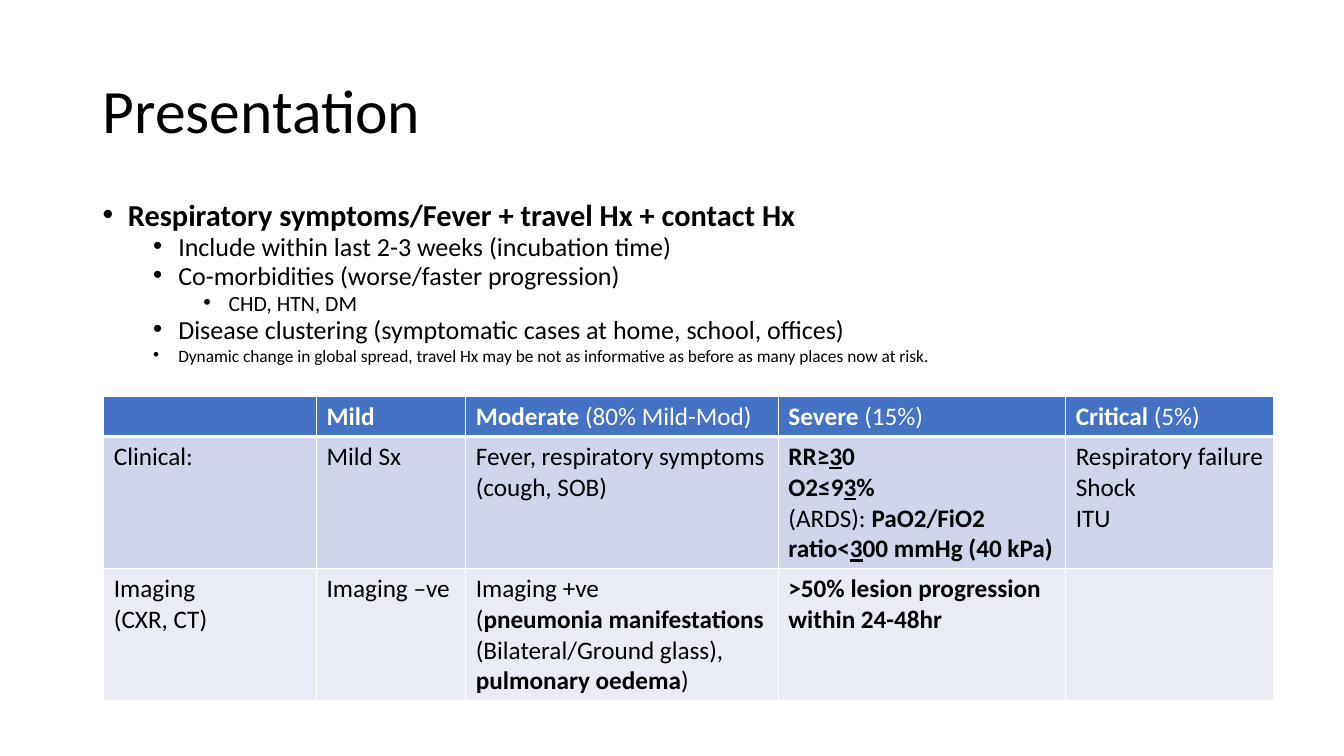
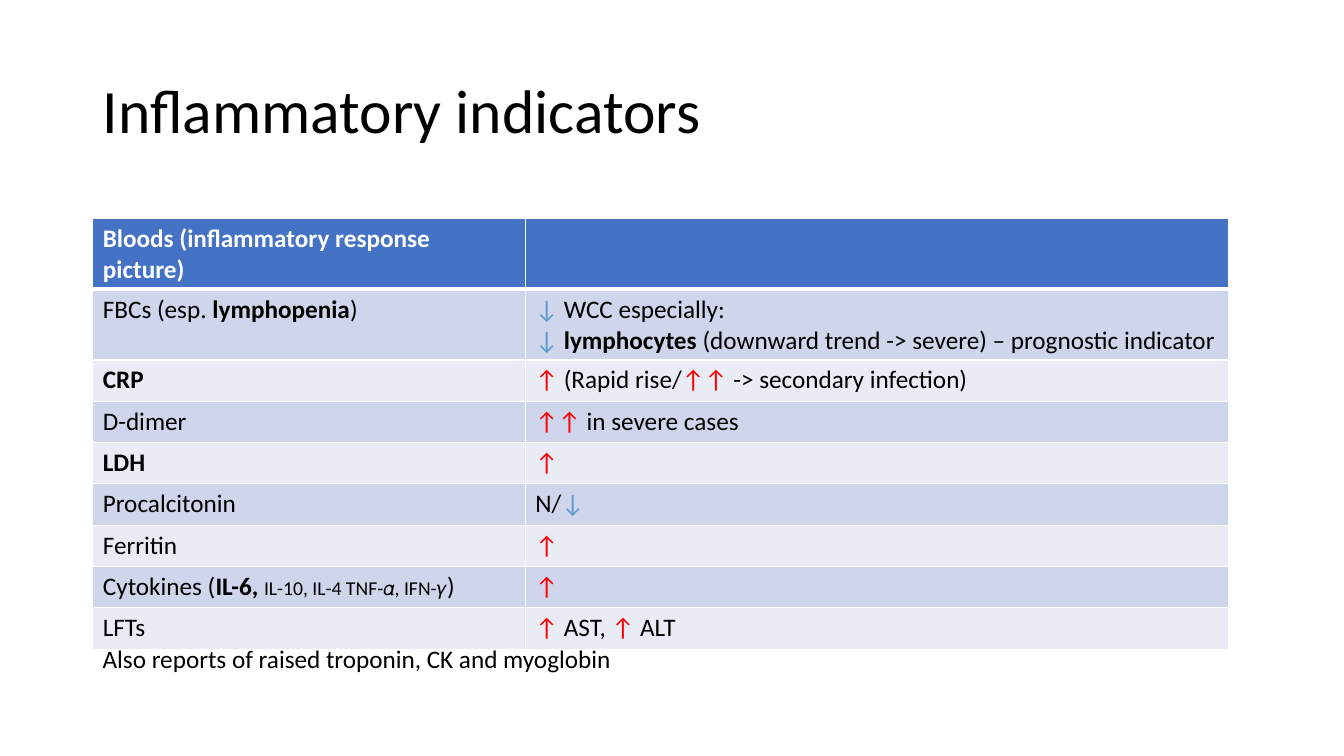
import dataclasses

import pptx
import pptx.dml.color
import pptx.enum.text
import pptx.oxml
import pptx.oxml.ns
import pptx.util

PX = 9144  # one px is 1/100 inch


@dataclasses.dataclass(frozen=True)
class Theme:
    font: str = "Calibri"
    text: str = "000000"
    white: str = "FFFFFF"
    header: str = "4472C4"
    bands: tuple = ("CFD5EA", "E9EBF5")
    rise: str = "FF0000"
    fall: str = "5B9BD5"
    title_size: float = 44
    text_size: float = 18
    small_size: float = 14
    lead_size: float = 21.7
    point_size: float = 18.6
    detail_size: float = 15.5
    note_size: float = 12.4
    thin_line: int = 1
    thick_line: int = 3


THEME = Theme()
TITLE_BOX = (92, 40, 1150, 145)

# Named run formats, laid over the format of the surrounding text
FORMATS = {
    "bold": {"bold": True},
    "regular": {"bold": False},
    "underlined": {"bold": True, "underline": True},
    "rise": {"color": THEME.rise},
    "fall": {"color": THEME.fall},
    "small": {"size": THEME.small_size},
}


def px(value):
    return pptx.util.Emu(value * PX)


def add_runs(paragraph, runs, **base):
    """Write runs; each is a plain string or a (text, format name) pair."""
    for item in runs:
        text, name = (item, None) if isinstance(item, str) else item
        values = {"name": THEME.font, "size": THEME.text_size,
                  "color": THEME.text, **base, **FORMATS.get(name, {})}
        run = paragraph.add_run()
        run.text = text
        run.font.color.rgb = pptx.dml.color.RGBColor.from_string(values.pop("color"))
        values["size"] = pptx.util.Pt(values["size"])
        for attribute, value in values.items():
            setattr(run.font, attribute, value)


def paragraphs_for(frame, count):
    return [frame.paragraphs[0]] + [frame.add_paragraph() for _ in range(count - 1)]


def add_text_frame(slide, box, **settings):
    frame = slide.shapes.add_textbox(*map(px, box)).text_frame
    for attribute, value in {"word_wrap": True, **settings}.items():
        setattr(frame, attribute, value)
    return frame


def add_title(slide, text):
    frame = add_text_frame(slide, TITLE_BOX,
                           vertical_anchor=pptx.enum.text.MSO_ANCHOR.MIDDLE)
    paragraph = frame.paragraphs[0]
    paragraph.line_spacing = 0.9
    add_runs(paragraph, [text], size=THEME.title_size)


def add_bullets(slide, box, points):
    """Place an outline of (level, size, bold, text) points."""
    frame = add_text_frame(slide, box)
    for index, (level, size, bold, text) in enumerate(points):
        paragraph = paragraphs_for(frame, 1)[0] if index == 0 else frame.add_paragraph()
        properties = paragraph._p.get_or_add_pPr()
        properties.set("marL", str(px(25 + 50 * level)))
        properties.set("indent", str(px(-25)))
        for tag, attribute, value in (("buFont", "typeface", "Arial"),
                                      ("buChar", "char", "•")):
            pptx.oxml.ns.qn("a:" + tag)
            properties.append(pptx.oxml.parse_xml(
                f'<a:{tag} {pptx.oxml.ns.nsdecls("a")} {attribute}="{value}"/>'))
        paragraph.level = level
        paragraph.line_spacing = 0.7
        if index:
            paragraph.space_before = pptx.util.Pt(5)
        add_runs(paragraph, [text], size=size, bold=bold)


def style_cell(cell, row):
    """Draw white borders, heavier under the header, then the band fill."""
    widths = {"L": THEME.thin_line, "R": THEME.thin_line,
              "T": THEME.thick_line if row == 1 else THEME.thin_line,
              "B": THEME.thick_line if row == 0 else THEME.thin_line}
    properties = cell._tc.get_or_add_tcPr()
    for side, width in widths.items():
        properties.append(pptx.oxml.parse_xml(
            f'<a:ln{side} {pptx.oxml.ns.nsdecls("a")} w="{pptx.util.Pt(width)}">'
            f'<a:solidFill><a:srgbClr val="{THEME.white}"/></a:solidFill></a:ln{side}>'))
    color = THEME.bands[(row - 1) % 2] if row else THEME.header
    cell.fill.solid()
    cell.fill.fore_color.rgb = pptx.dml.color.RGBColor.from_string(color)


def add_banded_table(slide, left, top, widths, heights, rows):
    """Place rows of cells; a cell is a list of paragraphs made of runs."""
    table = slide.shapes.add_table(len(heights), len(widths), px(left), px(top),
                                   px(sum(widths)), px(sum(heights))).table
    for column, width in zip(table.columns, widths):
        column.width = px(width)
    for row_index, (row, height, contents) in enumerate(zip(table.rows, heights, rows)):
        row.height = px(height)
        base = {"bold": False} if row_index else {"bold": True, "color": THEME.white}
        for cell, lines in zip(row.cells, contents):
            style_cell(cell, row_index)
            if lines:
                for paragraph, runs in zip(paragraphs_for(cell.text_frame, len(lines)), lines):
                    add_runs(paragraph, runs, **base)


def build_presentation_slide(slide):
    add_title(slide, "Presentation")
    add_bullets(slide, (92, 200, 1150, 175), [
        (0, THEME.lead_size, True, "Respiratory symptoms/Fever + travel Hx + contact Hx"),
        (1, THEME.point_size, False, "Include within last 2-3 weeks (incubation time)"),
        (1, THEME.point_size, False, "Co-morbidities (worse/faster progression)"),
        (2, THEME.detail_size, False, "CHD, HTN, DM"),
        (1, THEME.point_size, False,
         "Disease clustering (symptomatic cases at home, school, offices)"),
        (1, THEME.note_size, False,
         "Dynamic change in global spread, travel Hx may be not as informative "
         "as before as many places now at risk."),
    ])
    # Severity table
    add_banded_table(slide, 103, 393, [211, 148, 310, 285, 206], [40, 131, 131], [
        [[], [["Mild"]],
         [["Moderate ", ("(80% Mild-Mod)", "regular")]],
         [["Severe ", ("(15%)", "regular")]],
         [["Critical ", ("(5%)", "regular")]]],
        [[["Clinical:"]], [["Mild Sx"]],
         [["Fever, respiratory symptoms (cough, SOB)"]],
         [[("RR≥", "bold"), ("3", "underlined"), ("0", "bold")],
          [("O2≤9", "bold"), ("3", "underlined"), ("%", "bold")],
          ["(ARDS): ", ("PaO2/FiO2 ratio<", "bold"), ("3", "underlined"),
           ("00 mmHg (40 kPa)", "bold")]],
         [["Respiratory failure"], ["Shock"], ["ITU"]]],
        [[["Imaging"], ["(CXR, CT)"]], [["Imaging –ve"]],
         [["Imaging +ve"],
          ["(", ("pneumonia manifestations ", "bold"), "(Bilateral/Ground glass), ",
           ("pulmonary oedema", "bold"), ")"]],
         [[(">50% lesion progression within 24-48hr", "bold")]], []],
    ])


def build_indicators_slide(slide):
    add_title(slide, "Inflammatory indicators")
    # Blood results table
    add_banded_table(slide, 92, 217, [429, 698], [70] * 2 + [41] * 7, [
        [[["Bloods (inflammatory response picture)"]], []],
        [[["FBCs (esp. ", ("lymphopenia", "bold"), ")"]],
         [[("↓ ", "fall"), "WCC especially:"],
          [("↓ ", "fall"), ("lymphocytes ", "bold"),
           "(downward trend -> severe) – prognostic indicator"]]],
        [[[("CRP", "bold")]],
         [[("↑ ", "rise"), "(Rapid rise/", ("↑↑ ", "rise"), "-> secondary infection)"]]],
        [[["D-dimer"]], [[("↑↑ ", "rise"), "in severe cases"]]],
        [[[("LDH", "bold")]], [[("↑", "rise")]]],
        [[["Procalcitonin"]], [["N/", ("↓", "fall")]]],
        [[["Ferritin"]], [[("↑", "rise")]]],
        [[["Cytokines (", ("IL-6, ", "bold"), ("IL-10, IL-4 TNF-𝛼, IFN-𝛾", "small"), ")"]],
         [[("↑", "rise")]]],
        [[["LFTs"]], [[("↑ ", "rise"), "AST, ", ("↑ ", "rise"), "ALT"]]],
    ])
    # Remark under the table
    frame = add_text_frame(slide, (92, 633, 530, 40), word_wrap=False,
                           auto_size=pptx.enum.text.MSO_AUTO_SIZE.SHAPE_TO_FIT_TEXT)
    add_runs(frame.paragraphs[0], ["Also reports of raised troponin, CK and myoglobin"])


def main():
    presentation = pptx.Presentation()
    presentation.slide_width, presentation.slide_height = px(1333), px(750)
    for build in (build_presentation_slide, build_indicators_slide):
        build(presentation.slides.add_slide(presentation.slide_layouts[6]))
    presentation.save("out.pptx")


if __name__ == "__main__":
    main()
